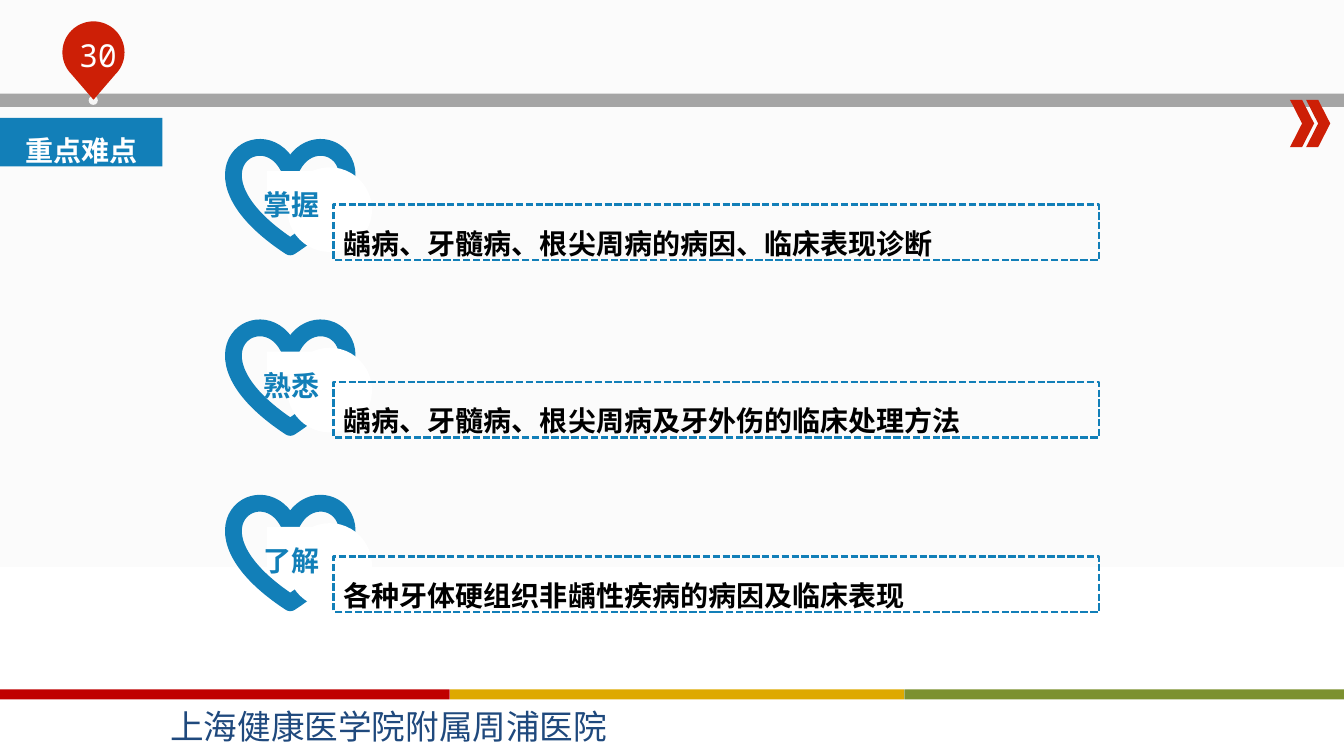
"""Builds the key-points slide: three heart-labelled goals between a header and a footer band."""
import math
from typing import NamedTuple, Optional

from pptx import Presentation
from pptx import util as u
from pptx.dml.color import RGBColor
from pptx.enum import dml, shapes, text

BLUE = RGBColor(0x12, 0x7F, 0xB8)
RED = RGBColor(0xCD, 0x1F, 0x06)
GREY = RGBColor(0xA5, 0xA5, 0xA5)
DOT = RGBColor(0xF6, 0xF6, 0xF6)
PALE = RGBColor(0xFB, 0xFB, 0xFB)
WHITE = RGBColor(0xFF, 0xFF, 0xFF)
BLACK = RGBColor(0x00, 0x00, 0x00)
NAVY = RGBColor(0x1F, 0x49, 0x7D)
STRIPES = (RGBColor(0xC0, 0x00, 0x00), RGBColor(0xDE, 0xA9, 0x00), RGBColor(0x7C, 0x91, 0x2F))
WIDTH, HEIGHT = u.Inches(13.33), u.Inches(7.5)
SHAPE = shapes.MSO_SHAPE
ALIGN = text.PP_ALIGN
ANCHOR = text.MSO_ANCHOR


class Box(NamedTuple):
    """Left, top, width and height in percent of the slide."""
    x: float
    y: float
    w: float
    h: float

    def emu(self) -> list[int]:
        """Return the box in slide units."""
        return [round(share * side / 100) for share, side in zip(self, (WIDTH, HEIGHT) * 2)]


class Style(NamedTuple):
    """Look of one line of text."""
    size: float
    color: RGBColor
    name: str = "Times New Roman"
    bold: bool = True
    spacing: Optional[float] = 1.5
    align: ALIGN = ALIGN.CENTER
    anchor: ANCHOR = ANCHOR.MIDDLE


class Goal(NamedTuple):
    """A heart label, its sentence, their tops and the height of the heart's inner mask."""
    label: str
    sentence: str
    heart_y: float
    box_y: float
    mask_h: float


GOALS = (
    Goal("掌握", "龋病、牙髓病、根尖周病的病因、临床表现诊断", 19.33, 27.07, 4.67),
    Goal("熟悉", "龋病、牙髓病、根尖周病及牙外伤的临床处理方法", 43.2, 50.53, 3.07),
    Goal("了解", "各种牙体硬组织非龋性疾病的病因及临床表现", 66.4, 73.6, 6.13),
)
TAG = Style(20, WHITE)
LABEL = Style(20, BLUE)
SENTENCE = Style(20, BLACK, align=ALIGN.LEFT, anchor=ANCHOR.TOP)
NUMBER = Style(22.6, WHITE, "Noto Sans Mono", False, None, anchor=ANCHOR.TOP)
FOOTER = Style(24, NAVY, "Noto Sans CJK SC", False, None, ALIGN.LEFT, ANCHOR.TOP)


def paint(sp, fill: Optional[RGBColor], line: Optional[RGBColor] = None, width: float = 1) -> None:
    """Set fill and outline, and drop the shadow."""
    sp.shadow.inherit = False
    if fill is None:
        sp.fill.background()
    else:
        sp.fill.solid()
        sp.fill.fore_color.rgb = fill
    if line is None:
        sp.line.fill.background()
    else:
        sp.line.color.rgb = line
        sp.line.width = u.Pt(width)


def add_shape(s, kind: SHAPE, box: Box, fill: Optional[RGBColor],
              line: Optional[RGBColor] = None, width: float = 1):
    """Add a painted preset shape."""
    sp = s.shapes.add_shape(kind, *box.emu())
    paint(sp, fill, line, width)
    return sp


def write(sp, words: str, style: Style) -> None:
    """Put one styled paragraph into a shape."""
    tf = sp.text_frame
    tf.word_wrap = True
    tf.vertical_anchor = style.anchor
    p = tf.paragraphs[0]
    p.text = words
    p.alignment = style.align
    if style.spacing:
        p.line_spacing = style.spacing
    p.font.size = u.Pt(style.size)
    p.font.name = style.name
    p.font.bold = style.bold
    p.font.color.rgb = style.color


def add_text(s, box: Box, words: str, style: Style) -> None:
    """Add a text box."""
    write(s.shapes.add_textbox(*box.emu()), words, style)


def add_background(s) -> None:
    """Fill the slide with a pale tone that turns white in the lower quarter."""
    fill = s.background.fill
    fill.gradient()
    fill.gradient_angle = 270
    for stop, color, position in zip(fill.gradient_stops, (PALE, WHITE), (0.75, 0.75)):
        stop.color.rgb = color
        stop.position = position


def add_pin(s) -> None:
    """Draw the map pin: three quarters of a circle closed at a lower tip."""
    cx, cy, rx, ry = Box(6.96, 6.93, 2.31, 4.1).emu()
    turns = [math.radians(45 - 5 * i) for i in range(55)]
    arc = [(round(cx + rx * math.cos(a)), round(cy + ry * math.sin(a))) for a in turns]
    builder = s.shapes.build_freeform(cx, round(HEIGHT * 0.132))
    builder.add_line_segments(arc, close=True)
    paint(builder.convert_to_shape(), RED)


def add_frame(s) -> None:
    """Draw the header band, page pin, chevrons, footer stripes and title tag."""
    add_shape(s, SHAPE.RECTANGLE, Box(0, 12.4, 100, 1.73), GREY)
    for x in (95.98, 97.18):
        add_shape(s, SHAPE.CHEVRON, Box(x, 13.2, 1.8, 6.27), RED)
    add_shape(s, SHAPE.OVAL, Box(6.6, 12.67, 0.68, 1.2), DOT)
    add_pin(s)
    add_text(s, Box(4.03, 4.13, 6.53, 5.47), "30", NUMBER)
    for i, color in enumerate(STRIPES):
        add_shape(s, SHAPE.RECTANGLE, Box(33.79 * i - 0.3, 91.2, 33.76, 1.33), color)
    add_text(s, Box(11.93, 92.67, 37, 6.67), "上海健康医学院附属周浦医院", FOOTER)
    write(add_shape(s, SHAPE.RECTANGLE, Box(0, 15.6, 12.08, 6.4), BLUE), "重点难点", TAG)


def add_heart(s, goal: Goal) -> None:
    """Draw an open heart with its label."""
    y = goal.heart_y
    add_shape(s, SHAPE.HEART, Box(17.4, y, 8.4, 13.33), None, BLUE, 12)
    add_shape(s, SHAPE.OVAL, Box(21.38, y + 2.8, 6.3, 11.2), WHITE)
    add_shape(s, SHAPE.RECTANGLE, Box(19.88, y + 3.3, 3.45, goal.mask_h), WHITE)
    add_text(s, Box(17.03, y + 3.4, 9.38, 6.4), goal.label, LABEL)


def add_sentence(s, goal: Goal) -> None:
    """Draw the dashed box with the goal's sentence."""
    sp = add_shape(s, SHAPE.RECTANGLE, Box(24.83, goal.box_y, 56.94, 7.33), None, BLUE, 1.75)
    sp.line.dash_style = dml.MSO_LINE.SQUARE_DOT
    write(sp, goal.sentence, SENTENCE)


def main() -> None:
    """Build and save the slide."""
    prs = Presentation()
    prs.slide_width, prs.slide_height = WIDTH, HEIGHT
    s = prs.slides.add_slide(prs.slide_layouts[6])
    add_background(s)
    add_frame(s)
    for goal in GOALS:
        add_heart(s, goal)
    for goal in GOALS:
        add_sentence(s, goal)
    prs.save("out.pptx")


if __name__ == "__main__":
    main()
